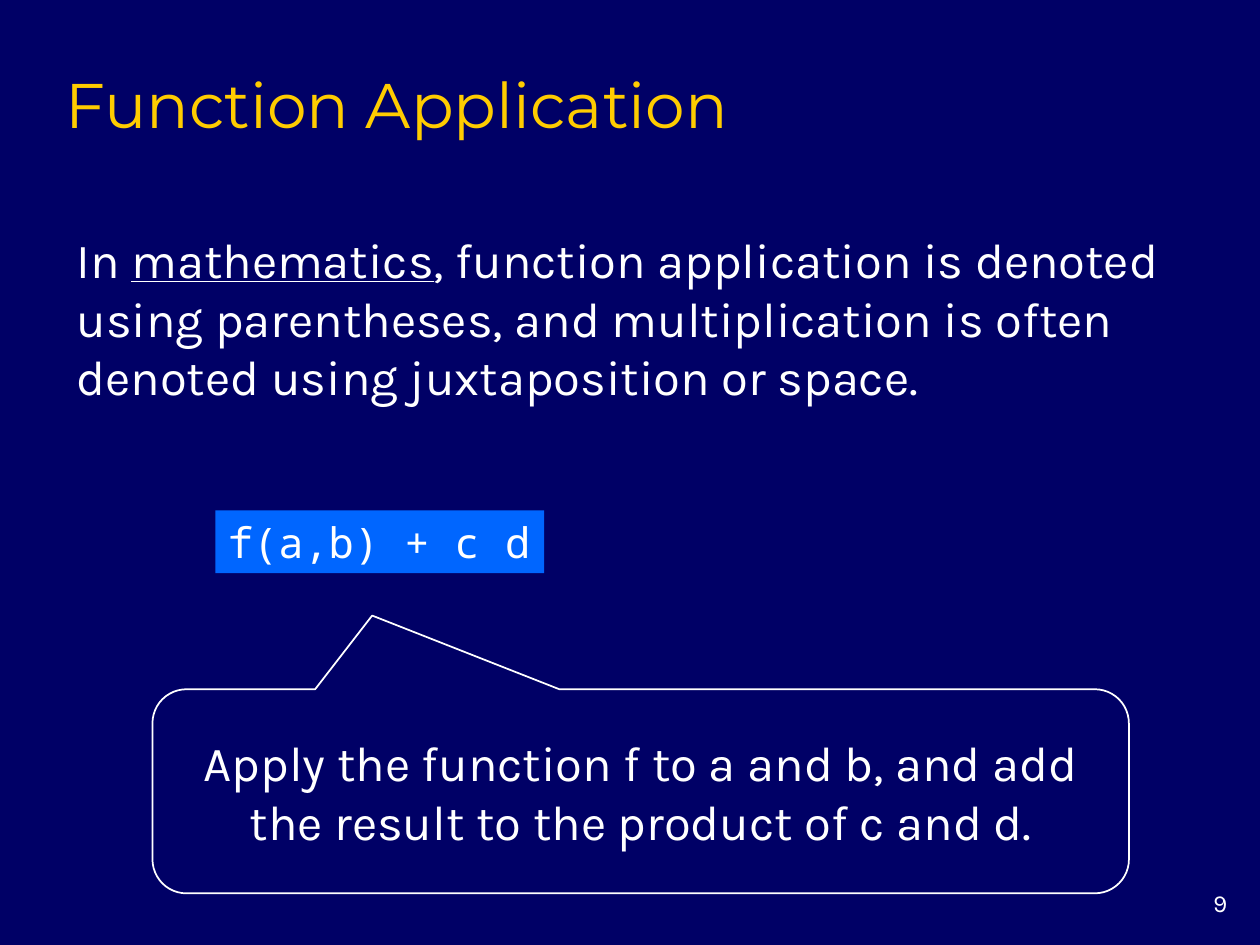
from dataclasses import dataclass
from typing import Optional

import pptx
import pptx.dml.color
import pptx.enum.shapes
import pptx.enum.text
import pptx.util

RGBColor = pptx.dml.color.RGBColor
Shape = pptx.enum.shapes.MSO_SHAPE
Anchor = pptx.enum.text.MSO_ANCHOR
Align = pptx.enum.text.PP_ALIGN

NAVY = RGBColor(0x00, 0x00, 0x66)
BLUE = RGBColor(0x00, 0x66, 0xFF)
GOLD = RGBColor(0xFF, 0xCC, 0x00)
WHITE = RGBColor(0xFF, 0xFF, 0xFF)

COLUMNS, ROWS = 10, 7.5


@dataclass(frozen=True)
class Run:
    text: str
    underline: bool = False


@dataclass(frozen=True)
class Block:
    column: float
    row: float
    columns: float
    rows: float
    runs: tuple[Run, ...]
    size: float
    font: str = "Karla"
    color: RGBColor = WHITE
    align: Align = Align.LEFT
    anchor: Anchor = Anchor.TOP
    wrap: bool = True
    preset: Optional[Shape] = None
    adjustments: tuple[float, ...] = ()
    fill: Optional[RGBColor] = None
    line: Optional[RGBColor] = None


BLOCKS = (
    Block(0.42, 0.42, 8.5, 0.75, (Run("Function Application"),), 36,
          font="Montserrat", color=GOLD, anchor=Anchor.BOTTOM),
    Block(0.51, 1.77, 9, 1.5,
          (Run("In "), Run("mathematics", underline=True),
           Run(", function application is denoted using parentheses, and "
               "multiplication is often denoted using juxtaposition or space.")), 28),
    Block(1.71, 4.05, 2.61, 0.5, (Run("f(a,b) + c d"),), 24,
          font="Noto Sans Mono", wrap=False, preset=Shape.RECTANGLE, fill=BLUE),
    Block(1.21, 5.47, 7.75, 1.62,
          (Run("Apply the function f to a and b, and add the result to the "
               "product of c and d."),), 28,
          align=Align.CENTER, anchor=Anchor.MIDDLE,
          preset=Shape.ROUNDED_RECTANGULAR_CALLOUT,
          adjustments=(-0.275, -0.861, 0.167), line=WHITE),
    Block(9.17, 7, 0.67, 0.33, (Run("9"),), 14, align=Align.RIGHT),
)


def style_shape(sp: pptx.shapes.autoshape.Shape, block: Block) -> None:
    sp.shadow.inherit = False
    for i, value in enumerate(block.adjustments):
        sp.adjustments[i] = value
    if block.fill is None:
        sp.fill.background()
    else:
        sp.fill.solid()
        sp.fill.fore_color.rgb = block.fill
    if block.line is None:
        sp.line.fill.background()
    else:
        sp.line.color.rgb = block.line
        sp.line.width = pptx.util.Pt(1)


def write_text(tf: pptx.text.text.TextFrame, block: Block) -> None:
    tf.word_wrap = block.wrap
    tf.vertical_anchor = block.anchor
    p = tf.paragraphs[0]
    p.alignment = block.align
    for run in block.runs:
        r = p.add_run()
        r.text = run.text
        r.font.name = block.font
        r.font.size = pptx.util.Pt(block.size)
        r.font.color.rgb = block.color
        r.font.underline = run.underline


def draw_block(s: pptx.slide.Slide, block: Block, cell_w: float, cell_h: float) -> None:
    box = (int(block.column * cell_w), int(block.row * cell_h),
           int(block.columns * cell_w), int(block.rows * cell_h))
    if block.preset is None:
        sp = s.shapes.add_textbox(*box)
    else:
        sp = s.shapes.add_shape(block.preset, *box)
        style_shape(sp, block)
    write_text(sp.text_frame, block)


def main() -> None:
    prs = pptx.Presentation()
    prs.slide_width = pptx.util.Inches(10)
    prs.slide_height = pptx.util.Inches(7.5)
    s = prs.slides.add_slide(prs.slide_layouts[6])
    s.background.fill.solid()
    s.background.fill.fore_color.rgb = NAVY
    for block in BLOCKS:
        draw_block(s, block, prs.slide_width / COLUMNS, prs.slide_height / ROWS)
    prs.save("out.pptx")


if __name__ == "__main__":
    main()
